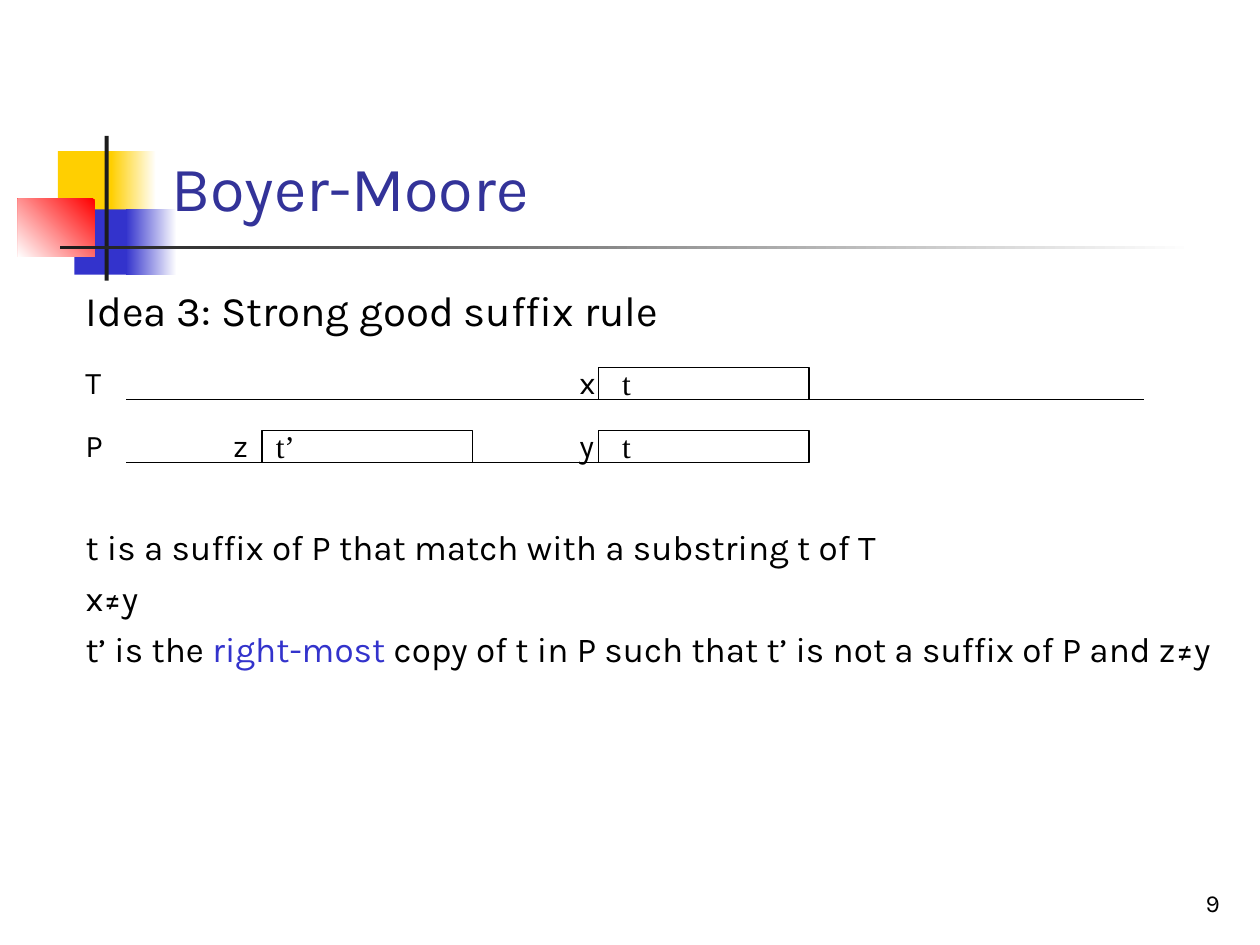
from lxml.etree import SubElement
from pptx import Presentation
from pptx.dml.color import RGBColor as Rgb
from pptx.enum.shapes import MSO_CONNECTOR as Connector, MSO_SHAPE as Shape
from pptx.enum.text import MSO_ANCHOR as Anchor, MSO_AUTO_SIZE as AutoSize, PP_ALIGN as Align
from pptx.oxml.ns import qn
from pptx.util import Cm, Pt

COLORS = {"yellow": "FFCF01", "blue": "3333CC", "red": "FF0000", "white": "FFFFFF",
          "rule": "1C1C1C", "title": "333399", "black": "000000"}
SANS, SERIF = "Karla", "Times New Roman"


def add_span(para, text, size, color="black", font=SANS):
    span = para.add_run()
    span.text = text
    for name, value in {"size": Pt(size), "name": font}.items():
        setattr(span.font, name, value)
    span.font.color.rgb = Rgb.from_string(COLORS[color])


def add_box(text, left, top, width, height, size=18, font=SANS, wrap=False):
    box = page.shapes.add_textbox(Cm(left), Cm(top), Cm(width), Cm(height))
    box.text_frame.word_wrap = wrap
    add_span(box.text_frame.paragraphs[0], text, size, font=font)
    return box


deck = Presentation()
deck.slide_width, deck.slide_height = Cm(25.4), Cm(19.05)
page = deck.slides.add_slide(deck.slide_layouts[1])

# Corner ornament: left, top, width, height, colours, gradient angle
ornament = [
    (1.17, 3.05, 1.22, 1.32, ["yellow"], None),
    (2.24, 3.05, 0.91, 1.32, ["white", "yellow"], 180),
    (1.5, 4.22, 1.17, 1.32, ["blue"], None),
    (2.54, 4.22, 1.02, 1.32, ["white", "blue"], 180),
    (0.36, 4.01, 1.55, 1.17, ["red", "white"], 225),
    (2.11, 2.74, 0.08, 2.92, ["rule"], None),
    (1.22, 4.95, 22.86, 0.08, ["white", "rule"], 180),
]
for left, top, width, height, names, angle in ornament:
    block = page.shapes.add_shape(Shape.RECTANGLE, Cm(left), Cm(top), Cm(width), Cm(height))
    block.shadow.inherit = False
    block.line.fill.background()
    if angle is None:
        block.fill.solid()
        block.fill.fore_color.rgb = Rgb.from_string(COLORS[names[0]])
    else:
        block.fill.gradient()
        block.fill.gradient_angle = angle
        for stop, name in zip(block.fill.gradient_stops, names):
            stop.color.rgb = Rgb.from_string(COLORS[name])

# Title and body
title, body = page.shapes.title, page.placeholders[1]
places = [(title, 3.2, 0.58, 21.64, 4.06, Anchor.BOTTOM),
          (body, 1.47, 5.61, 23.39, 11.43, Anchor.TOP)]
for holder, left, top, width, height, anchor in places:
    frame = {"left": Cm(left), "top": Cm(top), "width": Cm(width), "height": Cm(height)}
    for name, value in frame.items():
        setattr(holder, name, value)
    holder.text_frame.auto_size = AutoSize.NONE
    holder.text_frame.vertical_anchor = anchor

heading = title.text_frame.paragraphs[0]
heading.alignment = Align.LEFT
add_span(heading, "Boyer-Moore", 36, "title")

# Space before, size, spans; the large space leaves room for the diagram
lines = [
    (0, 24, [("Idea 3: Strong good suffix rule", "black")]),
    (109, 20, [("t is a suffix of P that match with a substring t of T", "black")]),
    (5, 20, [("x≠y", "black")]),
    (5, 20, [("t’ is the ", "black"), ("right-most", "blue"),
             (" copy of t in P such that t’ is not a suffix of P and z≠y", "black")]),
]
for index, (space, size, spans) in enumerate(lines):
    para = body.text_frame.add_paragraph() if index else body.text_frame.paragraphs[0]
    para.space_before = Pt(space)
    properties = para._p.get_or_add_pPr()
    properties.set("marL", str(Cm(0.95)))
    properties.set("indent", str(-Cm(0.95)))
    SubElement(properties, qn("a:buNone"))
    for text, color in spans:
        add_span(para, text, size, color)

# Diagram rows: name, line end, matches as (left, text, text left, text width),
# mismatch letters as (letter, left, width)
rows = [
    ("T", 23.06, [(12.07, "t", 12.29, 0.69)], [("x", 11.43, 0.84)]),
    ("P", 16.31, [(12.07, "t", 12.29, 0.69), (5.28, "t’", 5.31, 0.89)],
     [("y", 11.43, 0.84), ("z", 4.45, 0.79)]),
]
match_height = 0.64
for index, (name, end, matches, letters) in enumerate(rows):
    top = 7.41 + 1.27 * index
    base = Cm(top + match_height)
    line = page.shapes.add_connector(Connector.STRAIGHT, Cm(2.54), base, Cm(end), base)
    SubElement(line._element.spPr, qn("a:effectLst"))
    outlined = [line]
    for left, text, text_left, text_width in matches:
        match = page.shapes.add_shape(Shape.FLOWCHART_PROCESS, Cm(left), Cm(top),
                                      Cm(4.24), Cm(match_height))
        match.shadow.inherit = False
        match.fill.background()
        outlined.append(match)
        add_box(text, text_left, top - 0.2, text_width, 1.02, font=SERIF)
    for shape in outlined:
        shape.line.color.rgb = Rgb.from_string(COLORS["black"])
        shape.line.width = Pt(0.75)
    for letter, left, width in letters:
        add_box(letter, left, top - 0.22, width, 1.02)
    add_box(name, 1.47, top - 0.22, 1.07, 1.02, wrap=True)

number = add_box("9", 19.56, 17.35, 5.28, 1.27, size=14, wrap=True)
number.text_frame.vertical_anchor = Anchor.BOTTOM
number.text_frame.paragraphs[0].alignment = Align.RIGHT

deck.save("out.pptx")
